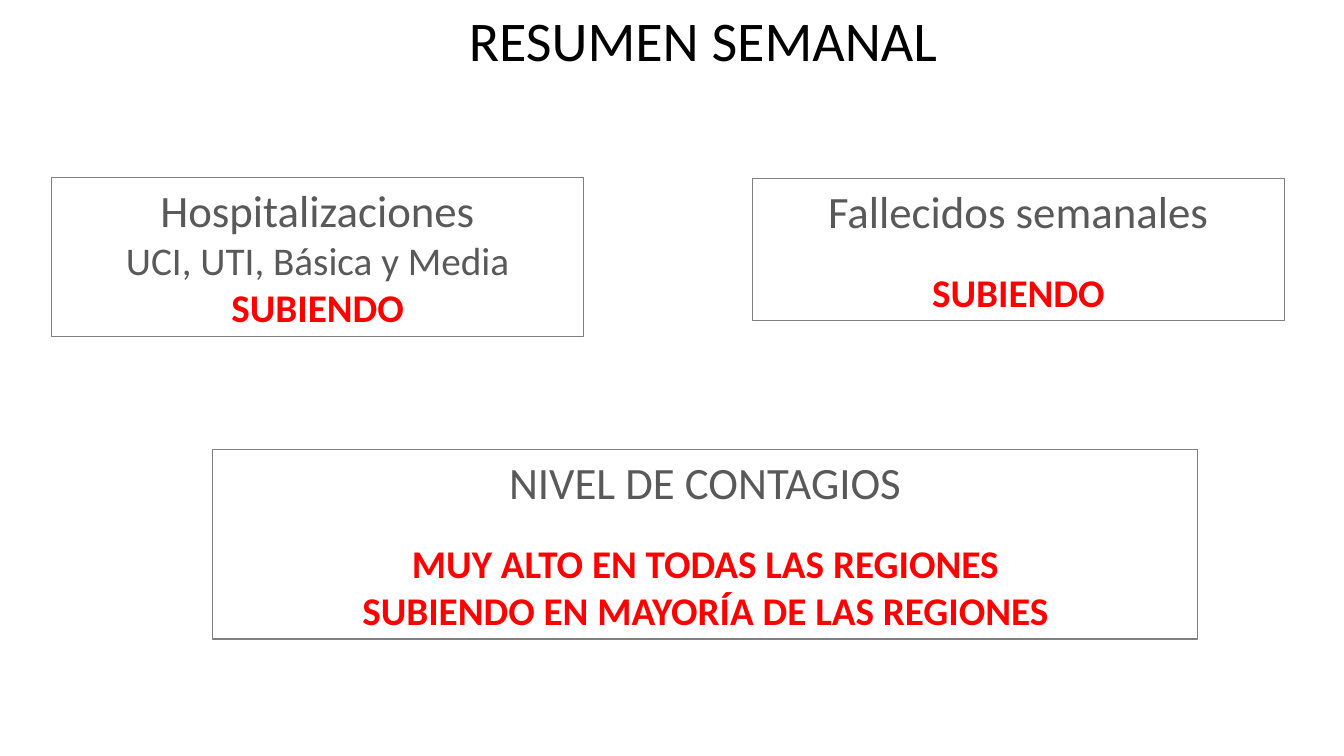
import pptx
import pptx.dml.color
import pptx.enum.shapes
import pptx.enum.text
import pptx.util
from pptx.util import Inches

COLORS = {"title": "000000", "heading": "595959", "alert": "FF0000", "border": "808080"}
ALIGN = pptx.enum.text.PP_ALIGN


def rgb(name):
    return pptx.dml.color.RGBColor.from_string(COLORS[name])


def write(paragraph, text, size=28, color="heading", bold=False, align=ALIGN.CENTER, before=0):
    paragraph.alignment = align
    paragraph.space_before = pptx.util.Pt(before)
    run = paragraph.add_run()
    run.text = text
    run.font.name = "Calibri"
    run.font.size = pptx.util.Pt(size)
    run.font.bold = bold
    run.font.color.rgb = rgb(color)


class SummarySlide:
    """Hold the style and current slide, and add its title and boxes."""

    def __init__(self, deck):
        self.slide = deck.slides.add_slide(deck.slide_layouts[5])
        self.gap = 22

    def title(self, text, left, top, width, height):
        heading = self.slide.shapes.title
        heading.left, heading.top, heading.width, heading.height = map(
            Inches, (left, top, width, height))
        frame = heading.text_frame
        frame.word_wrap = False
        frame.auto_size = pptx.enum.text.MSO_AUTO_SIZE.SHAPE_TO_FIT_TEXT
        frame.vertical_anchor = pptx.enum.text.MSO_ANCHOR.TOP
        write(frame.paragraphs[0], text, size=40, color="title", align=ALIGN.LEFT)

    def box(self, heading, alerts, left, top, width, height, detail=None):
        panel = self.slide.shapes.add_shape(
            pptx.enum.shapes.MSO_SHAPE.RECTANGLE,
            *map(Inches, (left, top, width, height)))
        panel.shadow.inherit = False
        panel.fill.background()
        panel.line.color.rgb = rgb("border")
        panel.line.width = pptx.util.Pt(0.75)
        frame = panel.text_frame
        frame.word_wrap = True
        frame.auto_size = pptx.enum.text.MSO_AUTO_SIZE.SHAPE_TO_FIT_TEXT
        frame.vertical_anchor = pptx.enum.text.MSO_ANCHOR.TOP
        write(frame.paragraphs[0], heading, size=32)
        for index, alert in enumerate(alerts):
            paragraph = frame.add_paragraph()
            if detail:
                write(paragraph, detail)
            before = self.gap if index == 0 and not detail else 0
            write(paragraph, alert, color="alert", bold=True, before=before)


def main():
    deck = pptx.Presentation()
    deck.slide_width, deck.slide_height = Inches(13.33), Inches(7.5)
    summary = SummarySlide(deck)
    summary.title("RESUMEN SEMANAL", 4.55, 0, 4.89, 0.77)
    summary.box("Hospitalizaciones", ["SUBIENDO"], 0.51, 1.76, 5.28, 1.58,
                detail="UCI, UTI, Básica y Media ")
    summary.box("Fallecidos semanales", ["SUBIENDO"], 7.46, 1.77, 5.28, 1.41)
    summary.box("NIVEL DE CONTAGIOS",
                ["MUY ALTO EN TODAS LAS REGIONES", "SUBIENDO EN MAYORÍA DE LAS REGIONES"],
                2.11, 4.46, 9.77, 1.88)
    deck.save("out.pptx")


if __name__ == "__main__":
    main()
